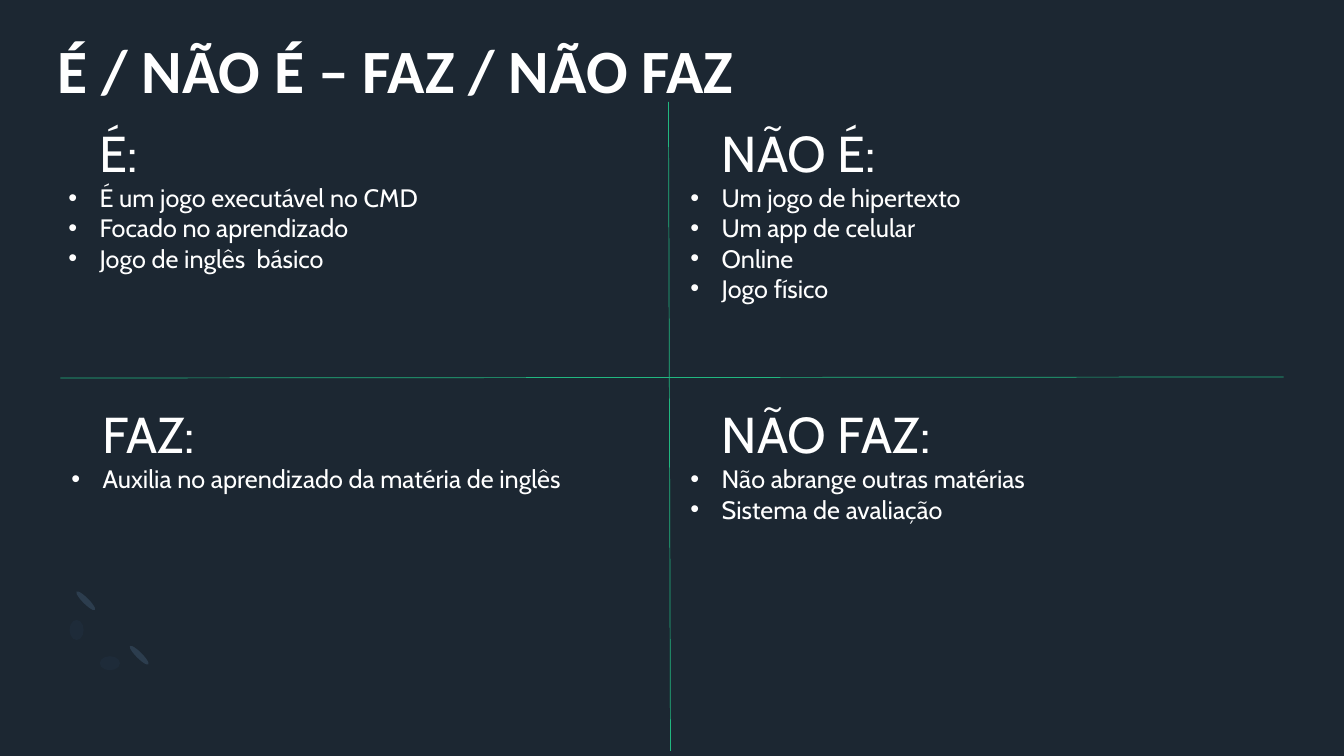
from pptx import Presentation
from pptx.dml.color import RGBColor
from pptx.enum import shapes, text
from pptx.oxml.ns import qn
from pptx.util import Inches, Pt
from lxml import etree

BACKGROUND = RGBColor(0x1C, 0x27, 0x32)
WHITE = RGBColor(0xFF, 0xFF, 0xFF)
GREEN = RGBColor(0x21, 0xB7, 0x80)
SLATE = RGBColor(0x2C, 0x3D, 0x4E)
FAINT_BLUE = RGBColor(0x1E, 0x2B, 0x39)
BULLET_INDENT = 0.31


def add_run(paragraph, wording, name, size, bold=False):
    run = paragraph.add_run()
    run.text = wording
    run.font.color.rgb = WHITE
    for attribute, value in {"name": name, "size": Pt(size), "bold": bold}.items():
        setattr(run.font, attribute, value)


def set_indent(paragraph, left, first_line, bullet=None):
    """Indent a paragraph, in inches, and give it a bullet if one is named."""
    properties = paragraph._p.get_or_add_pPr()
    properties.set("marL", str(Inches(left)))
    properties.set("indent", str(Inches(first_line)))
    if bullet:
        etree.SubElement(properties, qn("a:buFont")).set("typeface", "Arial")
        etree.SubElement(properties, qn("a:buChar")).set("char", bullet)


presentation = Presentation()
presentation.slide_width = Inches(13.33)
presentation.slide_height = Inches(7.5)
slide = presentation.slides.add_slide(presentation.slide_layouts[5])
slide.background.fill.solid()
slide.background.fill.fore_color.rgb = BACKGROUND

# Corner ornament: left, top, width, height, rotation, colour
ornaments = [
    (1.35, 6.37, 0.06, 0.26, 135, SLATE),
    (0.82, 5.83, 0.06, 0.26, 135, SLATE),
    (0.69, 6.15, 0.14, 0.2, 0, FAINT_BLUE),
    (0.99, 6.51, 0.2, 0.14, 0, FAINT_BLUE),
]
for *box, rotation, colour in ornaments:
    ellipse = slide.shapes.add_shape(shapes.MSO_SHAPE.OVAL, *map(Inches, box))
    ellipse.rotation = rotation
    ellipse.shadow.inherit = False
    ellipse.fill.solid()
    ellipse.fill.fore_color.rgb = colour
    ellipse.line.fill.background()

title = slide.shapes.title
title_box = {"left": 0.57, "top": 0.32, "width": 12.13, "height": 1.46}
for attribute, value in title_box.items():
    setattr(title, attribute, Inches(value))
title_format = {
    "margin_left": 0, "margin_top": 0, "margin_right": 0, "margin_bottom": 0,
    "vertical_anchor": text.MSO_ANCHOR.TOP, "auto_size": text.MSO_AUTO_SIZE.NONE,
}
for attribute, value in title_format.items():
    setattr(title.text_frame, attribute, value)
title_paragraph = title.text_frame.paragraphs[0]
title_paragraph.alignment = text.PP_ALIGN.LEFT
add_run(title_paragraph, "É / NÃO É – FAZ / NÃO FAZ", "Calibri", 44, bold=True)

# Axes between the quadrants
for ends in [(6.63, 1.01, 6.65, 7.45), (0.6, 3.75, 12.73, 3.74)]:
    axis = slide.shapes.add_connector(
        shapes.MSO_CONNECTOR.STRAIGHT, *map(Inches, ends))
    axis.line.color.rgb = GREEN
    axis.line.width = Pt(0.5)
    etree.SubElement(axis._element.spPr, qn("a:effectLst"))

# Quadrants: box, heading, bullet points
quadrants = [
    ((0.58, 1.16, 5.94, 2.22), "É:",
     ["É um jogo executável no CMD", "Focado no aprendizado",
      "Jogo de inglês  básico"]),
    ((6.75, 1.16, 5.91, 1.92), "NÃO É:",
     ["Um jogo de hipertexto", "Um app de celular", "Online", "Jogo físico"]),
    ((6.75, 3.95, 5.98, 1.62), "NÃO FAZ:",
     ["Não abrange outras matérias", "Sistema de avaliação"]),
    ((0.61, 3.95, 5.97, 1.31), "FAZ:",
     ["Auxilia no aprendizado da matéria de inglês"]),
]
for box, heading, points in quadrants:
    frame = slide.shapes.add_textbox(*map(Inches, box)).text_frame
    frame.word_wrap = True
    heading_paragraph = frame.paragraphs[0]
    set_indent(heading_paragraph, BULLET_INDENT, 0)
    add_run(heading_paragraph, heading, "Cabin", 36)
    for point in points:
        paragraph = frame.add_paragraph()
        set_indent(paragraph, BULLET_INDENT, -BULLET_INDENT, "•")
        add_run(paragraph, point, "Cabin", 18)

presentation.save("out.pptx")
